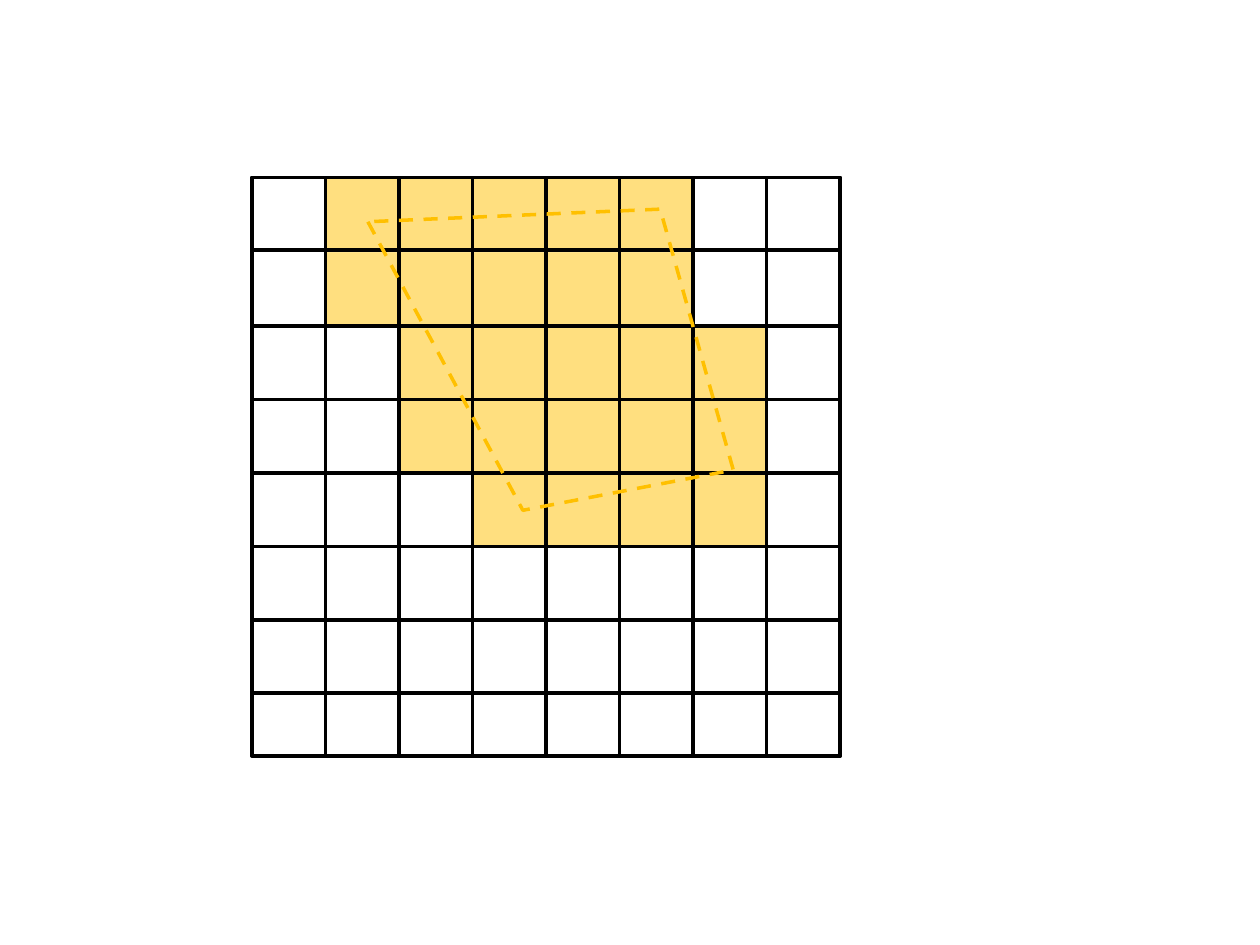
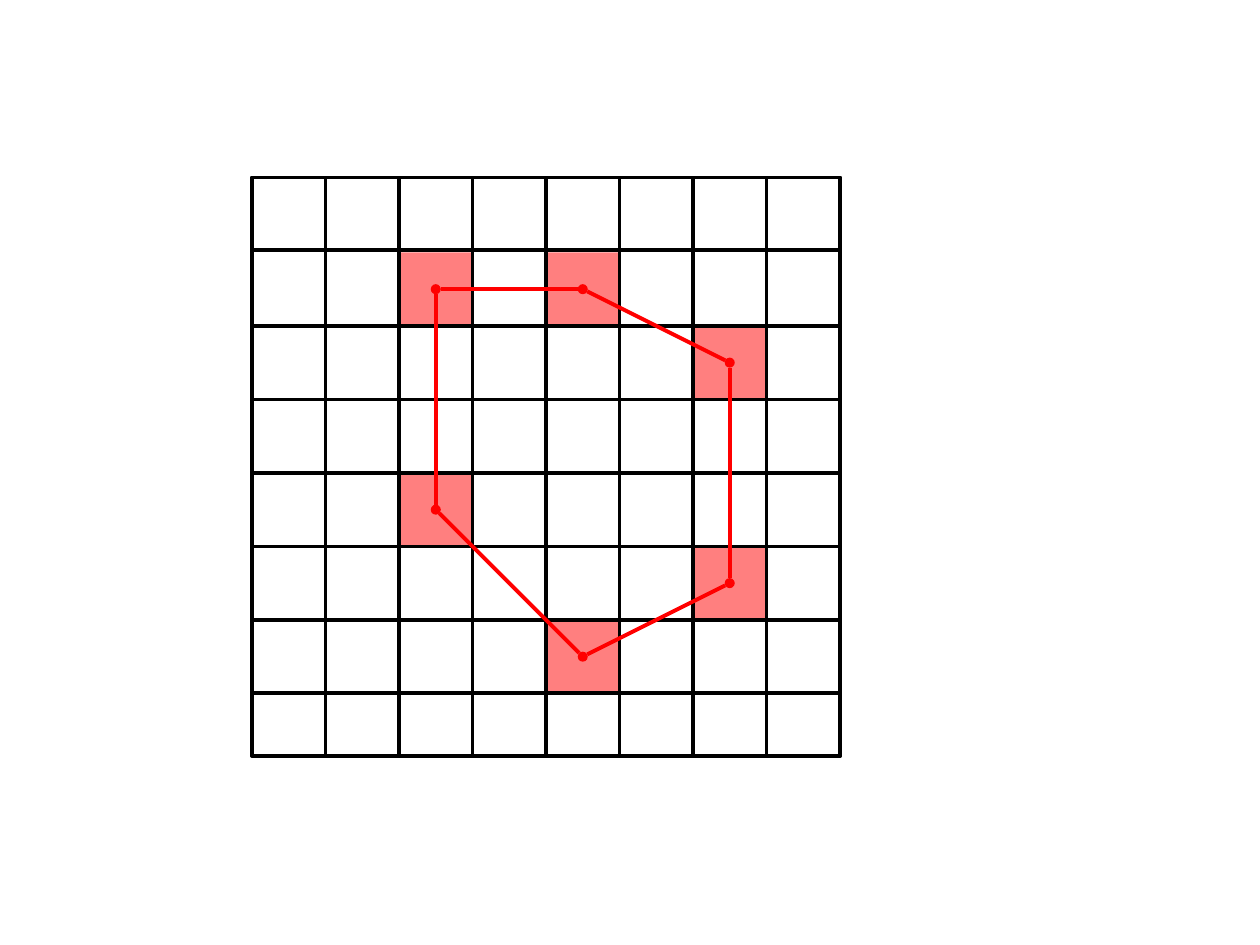
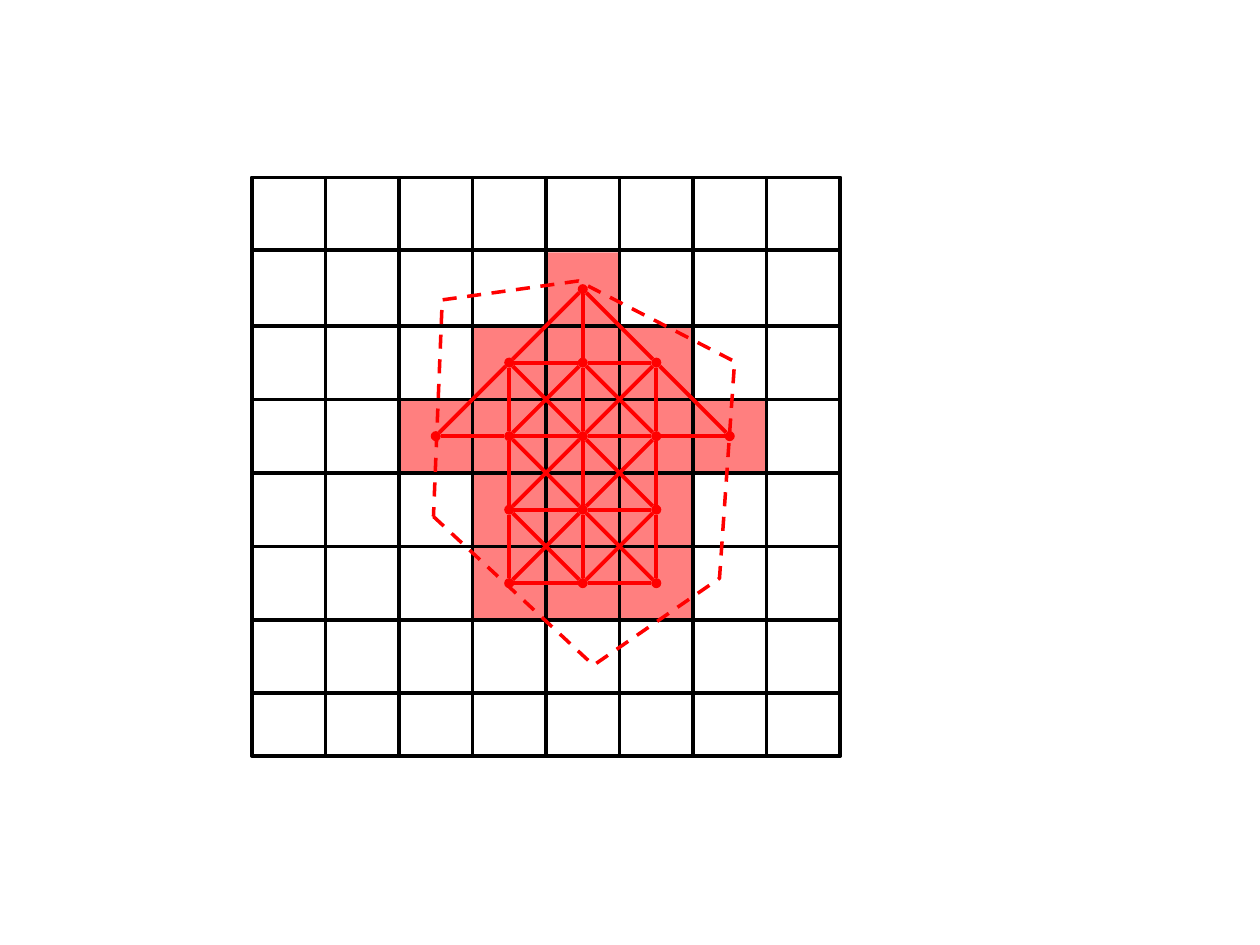
from itertools import combinations, product
from math import hypot

from lxml import etree
from pptx import Presentation
from pptx import util as u
from pptx.dml.color import RGBColor
from pptx.enum import dml, shapes
from pptx.oxml import ns

COLORS = {"grid": "000000", "amber": "FFC000", "red": "FF0000"}
COUNT = 8
CELL = u.Inches(7 / 12)
LEFT = u.Inches(2)
TOP = u.Inches(1.42)
GRID_TOP = u.Inches(1.41)
GRID_HEIGHT = u.Inches(4.59)
DOT = u.Inches(0.08)

QUAD_CELLS = [(column, row)
              for row, columns in enumerate([range(1, 6), range(1, 6), range(2, 7),
                                             range(2, 7), range(3, 7)])
              for column in columns]
QUAD_OUTLINE = [(2.92, 1.76), (4.15, 4.05), (5.82, 3.73), (5.24, 1.66)]

HEXAGON_CELLS = [(2, 1), (4, 1), (6, 2), (6, 5), (4, 6), (2, 4)]
HEXAGON_OUTLINE = [(3.44, 4.1), (4.71, 5.28), (5.71, 4.59),
                   (5.83, 2.87), (4.59, 2.23), (3.51, 2.38)]

MESH_CELLS = sorted([(4, 1), (2, 3), (6, 3), *product(range(3, 6), range(2, 6))])
MESH_GAPS = {((2, 3), (3, 4)), ((5, 4), (6, 3))}


class GridDeck:
    def __init__(self):
        self.deck = Presentation()
        self.deck.slide_width = u.Inches(10)
        self.deck.slide_height = u.Inches(7.5)
        self.page = None

    def new_page(self):
        self.page = self.deck.slides.add_slide(self.deck.slide_layouts[6])

    def center(self, cell):
        column, row = cell
        return LEFT + (column + 0.5) * CELL, TOP + (row + 0.5) * CELL

    def style(self, shape, fill=None, line=None):
        shape.shadow.inherit = False
        if fill:
            shape.fill.solid()
            shape.fill.fore_color.rgb = RGBColor.from_string(COLORS[fill])
        else:
            shape.fill.background()
        if line:
            shape.line.color.rgb = RGBColor.from_string(COLORS[line])
            shape.line.width = u.Pt(2)
        else:
            shape.line.fill.background()

    def shade(self, cells, color):
        for column, row in cells:
            square = self.page.shapes.add_shape(
                shapes.MSO_SHAPE.RECTANGLE,
                LEFT + column * CELL, TOP + row * CELL, CELL, CELL)
            self.style(square, fill=color)
            tint = square.fill._xPr.find(".//" + ns.qn("a:srgbClr"))
            etree.SubElement(tint, ns.qn("a:alpha"), val="50000")

    def grid(self):
        rows = [(TOP + row * CELL, CELL) for row in range(COUNT)]
        rows[0] = GRID_TOP, u.Inches(0.57)
        rows[1] = u.Inches(1.99), u.Inches(0.6)
        rows[-1] = u.Inches(5.5), u.Inches(0.5)
        bands = [(LEFT, top, COUNT * CELL, height) for top, height in rows]
        bands += [(LEFT + column * CELL, GRID_TOP, CELL, GRID_HEIGHT)
                  for column in range(COUNT)]
        group = self.page.shapes.add_group_shape()
        for band in bands:
            box = group.shapes.add_shape(shapes.MSO_SHAPE.RECTANGLE, *band)
            self.style(box, line="grid")

    def outline(self, points, color):
        corners = [(u.Inches(x), u.Inches(y)) for x, y in points]
        builder = self.page.shapes.build_freeform(*corners[0])
        builder.add_line_segments(corners[1:], close=True)
        polygon = builder.convert_to_shape()
        self.style(polygon, line=color)
        polygon.line.dash_style = dml.MSO_LINE.DASH

    def link(self, start, end, color):
        (x1, y1), (x2, y2) = self.center(start), self.center(end)
        ratio = DOT / 2 / hypot(x2 - x1, y2 - y1)
        dx, dy = (x2 - x1) * ratio, (y2 - y1) * ratio
        ends = [round(value) for value in (x1 + dx, y1 + dy, x2 - dx, y2 - dy)]
        edge = self.page.shapes.add_connector(shapes.MSO_CONNECTOR.STRAIGHT, *ends)
        edge.line.color.rgb = RGBColor.from_string(COLORS[color])
        edge.line.width = u.Pt(2.25)
        etree.SubElement(edge._element.spPr, ns.qn("a:effectLst"))

    def dots(self, cells, color):
        for cell in cells:
            x, y = self.center(cell)
            dot = self.page.shapes.add_shape(
                shapes.MSO_SHAPE.OVAL, round(x - DOT / 2), round(y - DOT / 2), DOT, DOT)
            self.style(dot, fill=color)

    def graph(self, cells, links, color):
        for start, end in links:
            self.link(start, end, color)
        self.dots(cells, color)


def is_neighbour(start, end):
    return max(abs(start[0] - end[0]), abs(start[1] - end[1])) == 1


def main():
    slides = GridDeck()

    slides.new_page()
    slides.shade(QUAD_CELLS, "amber")
    slides.grid()
    slides.outline(QUAD_OUTLINE, "amber")

    slides.new_page()
    slides.shade(HEXAGON_CELLS, "red")
    slides.grid()
    ring = zip(HEXAGON_CELLS, HEXAGON_CELLS[1:] + HEXAGON_CELLS[:1])
    slides.graph(HEXAGON_CELLS, ring, "red")

    slides.new_page()
    slides.shade(MESH_CELLS, "red")
    slides.grid()
    mesh = [pair for pair in combinations(MESH_CELLS, 2)
            if is_neighbour(*pair) and pair not in MESH_GAPS]
    slides.graph(MESH_CELLS, mesh, "red")
    slides.outline(HEXAGON_OUTLINE, "red")

    slides.deck.save("out.pptx")


if __name__ == "__main__":
    main()
